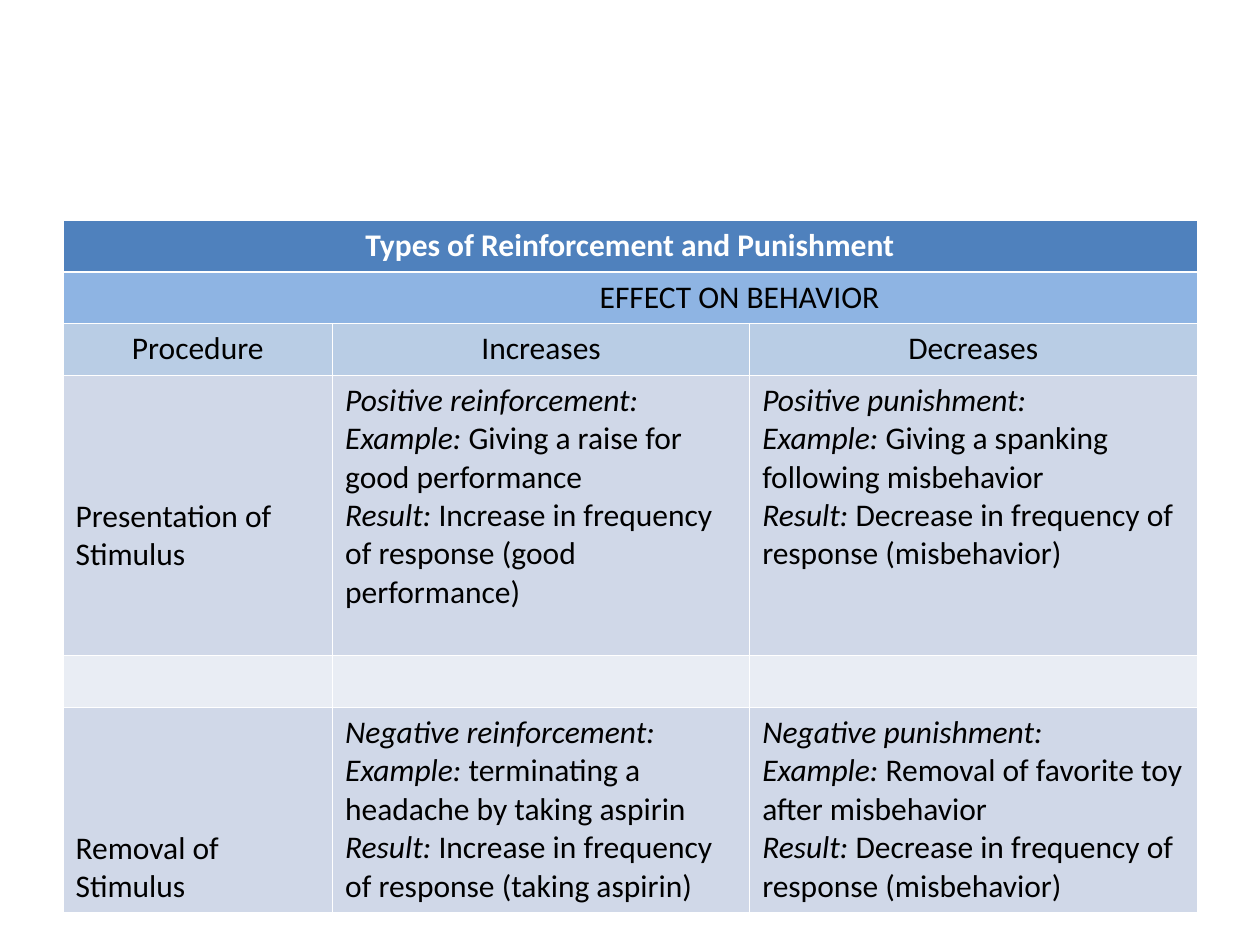
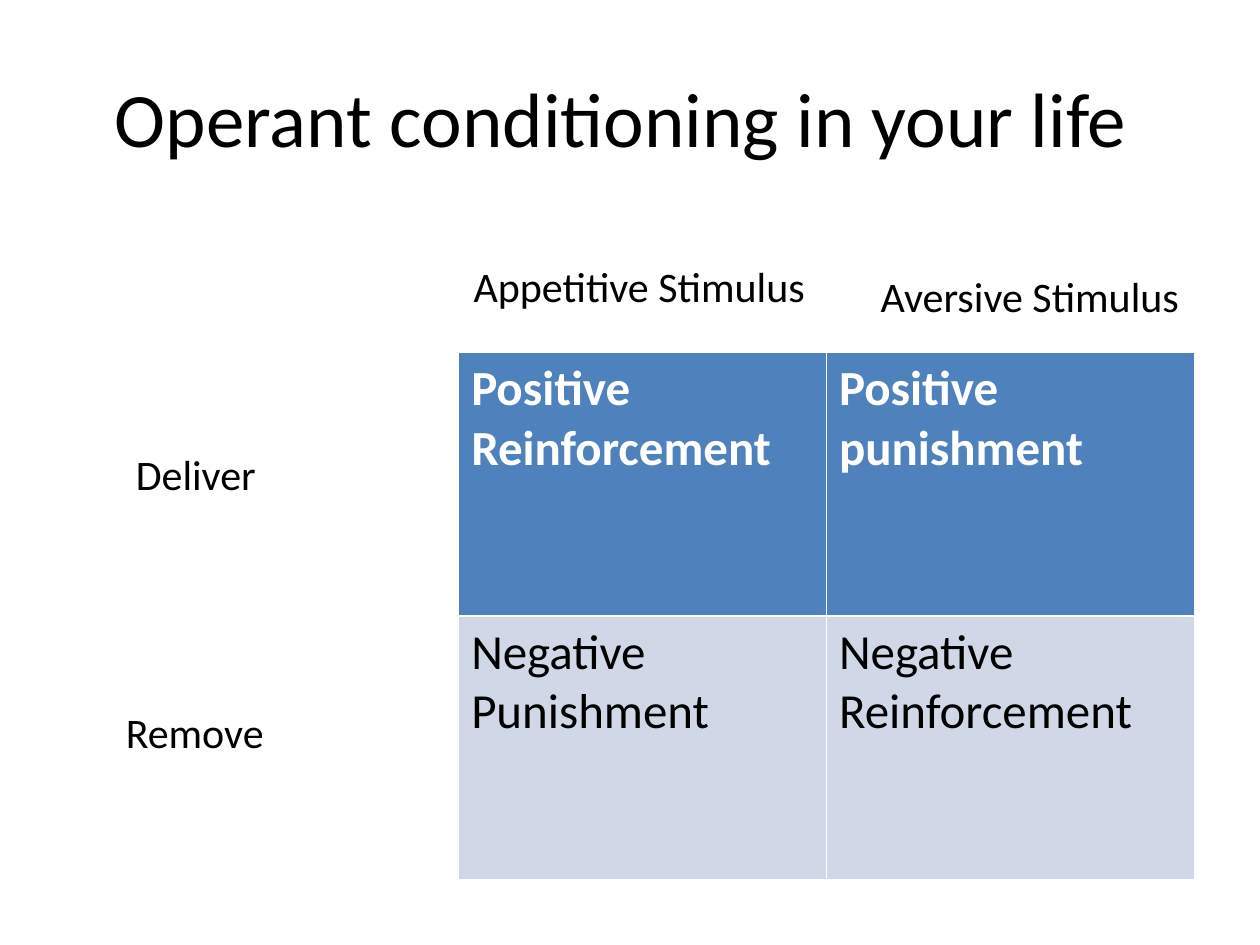
from lxml import etree
from pptx import Presentation
from pptx.dml.color import RGBColor
from pptx.enum.text import MSO_ANCHOR, MSO_AUTO_SIZE, PP_ALIGN
from pptx.oxml.ns import qn
from pptx.util import Inches, Pt

WHITE, BLACK = "FFFFFF", "000000"
BLUE, SKY, PALE, BAND, LIGHT = "4F81BD", "8EB4E3", "B9CDE5", "D0D8E8", "E9EDF4"
THIN, THICK = 0.45, 1.47
LEFT, CENTER = PP_ALIGN.LEFT, PP_ALIGN.CENTER


def rgb(value):
    return RGBColor.from_string(value)


def write(frame, *lines, size=18, color=BLACK, bold=False, align=LEFT):
    """Write one paragraph per line; text between asterisks is italic."""
    for number, line in enumerate(lines):
        para = frame.add_paragraph() if number else frame.paragraphs[0]
        para.alignment = align
        for index, part in enumerate(line.split("*")):
            if not part:
                continue
            span = para.add_run()
            span.text = part
            span.font.name = "Calibri"
            span.font.size = Pt(size)
            span.font.bold = bold
            span.font.italic = index % 2 == 1
            span.font.color.rgb = rgb(color)


class Deck:
    def __init__(self):
        self.deck = Presentation()
        self.deck.slide_width, self.deck.slide_height = Inches(10), Inches(7.5)
        self.page = None

    def add_page(self, title=None):
        layouts = self.deck.slide_layouts
        self.page = self.deck.slides.add_slide(layouts[5 if title else 6])
        if title:
            box = self.page.shapes.title
            box.left, box.top = Inches(0.5), Inches(0.3)
            box.width, box.height = Inches(9), Inches(1.25)
            box.text_frame.vertical_anchor = MSO_ANCHOR.MIDDLE
            write(box.text_frame, title, size=44, align=CENTER)

    def label(self, text, left, top, width):
        box = self.page.shapes.add_textbox(
            Inches(left), Inches(top), Inches(width), Inches(0.5))
        box.text_frame.word_wrap = True
        box.text_frame.auto_size = MSO_AUTO_SIZE.SHAPE_TO_FIT_TEXT
        write(box.text_frame, text, size=24)

    def table(self, left, top, columns, rows):
        frame = self.page.shapes.add_table(
            len(rows), len(columns), Inches(left), Inches(top),
            Inches(sum(columns)), Inches(sum(rows)))
        grid = frame.table
        grid.first_row = grid.horz_banding = False
        for column, width in zip(grid.columns, columns):
            column.width = Inches(width)
        for row, height in zip(grid.rows, rows):
            row.height = Inches(height)
        return grid

    def fill_row(self, grid, row, fill, texts=(), **style):
        """Fill a row; the header row is set off by a thicker rule."""
        for column in range(len(grid.columns)):
            cell = grid.cell(row, column)
            self.borders(cell, top=THICK if row == 1 else THIN,
                         bottom=THICK if row == 0 else THIN)
            cell.fill.solid()
            cell.fill.fore_color.rgb = rgb(fill)
        for column, text in enumerate(texts):
            lines = [text] if isinstance(text, str) else text
            write(grid.cell(row, column).text_frame, *lines, **style)

    def borders(self, cell, top, bottom):
        properties = cell._tc.get_or_add_tcPr()
        for side, width in zip("LRTB", (THIN, THIN, top, bottom)):
            line = etree.SubElement(properties, qn(f"a:ln{side}"), w=str(Pt(width)))
            solid = etree.SubElement(line, qn("a:solidFill"))
            etree.SubElement(solid, qn("a:srgbClr"), val=WHITE)


def build_types(deck):
    deck.add_page()
    grid = deck.table(0.5, 1.75, (2.14, 3.31, 3.55),
                      (0.41, 0.4, 0.41, 2.23, 0.4, 1.62))

    # Headings
    for row in (0, 1):
        grid.cell(row, 0).merge(grid.cell(row, 2))
    deck.fill_row(grid, 0, BLUE, ["Types of Reinforcement and Punishment"],
                  color=WHITE, bold=True, align=CENTER)
    deck.fill_row(grid, 1, SKY, ["EFFECT ON BEHAVIOR"], align=CENTER)
    grid.cell(1, 0).margin_left = Inches(1.84)
    deck.fill_row(grid, 2, PALE, ["Procedure", "Increases", "Decreases"], align=CENTER)

    # Procedures, parted by an empty row
    decrease = "*Result:* Decrease in frequency of response (misbehavior)"
    deck.fill_row(grid, 3, BAND, [
        "Presentation of Stimulus",
        ["*Positive reinforcement:*",
         "*Example: *Giving a raise for good performance",
         "*Result:* Increase in frequency of response (good performance)"],
        ["*Positive punishment:*",
         "*Example: *Giving a spanking following misbehavior", decrease]])
    deck.fill_row(grid, 4, LIGHT)
    deck.fill_row(grid, 5, BAND, [
        "Removal of Stimulus",
        ["*Negative reinforcement:*",
         "*Example: *terminating a headache by taking aspirin "
         "*Result: *Increase in frequency of response (taking aspirin)"],
        ["*Negative punishment:*",
         "*Example: *Removal of favorite toy after misbehavior", decrease]])
    for row in (3, 5):
        grid.cell(row, 0).margin_top = Inches(0.97)


def build_matrix(deck):
    deck.add_page("Operant conditioning in your life ")

    # Two-by-two table
    grid = deck.table(3.64, 2.8, (2.92, 2.92), (2.09, 2.09))
    deck.fill_row(grid, 0, BLUE, ["Positive Reinforcement", "Positive punishment"],
                  size=28, color=WHITE, bold=True)
    deck.fill_row(grid, 1, BAND, ["Negative Punishment", "Negative Reinforcement"],
                  size=28)

    # Column and row labels
    deck.label("Appetitive Stimulus", 3.66, 2.02, 2.91)
    deck.label("Aversive Stimulus", 6.89, 2.1, 3.11)
    deck.label("Deliver", 0.98, 3.51, 2.44)
    deck.label("Remove", 0.9, 5.56, 2.52)


def main():
    deck = Deck()
    build_types(deck)
    build_matrix(deck)
    deck.deck.save("out.pptx")


if __name__ == "__main__":
    main()
